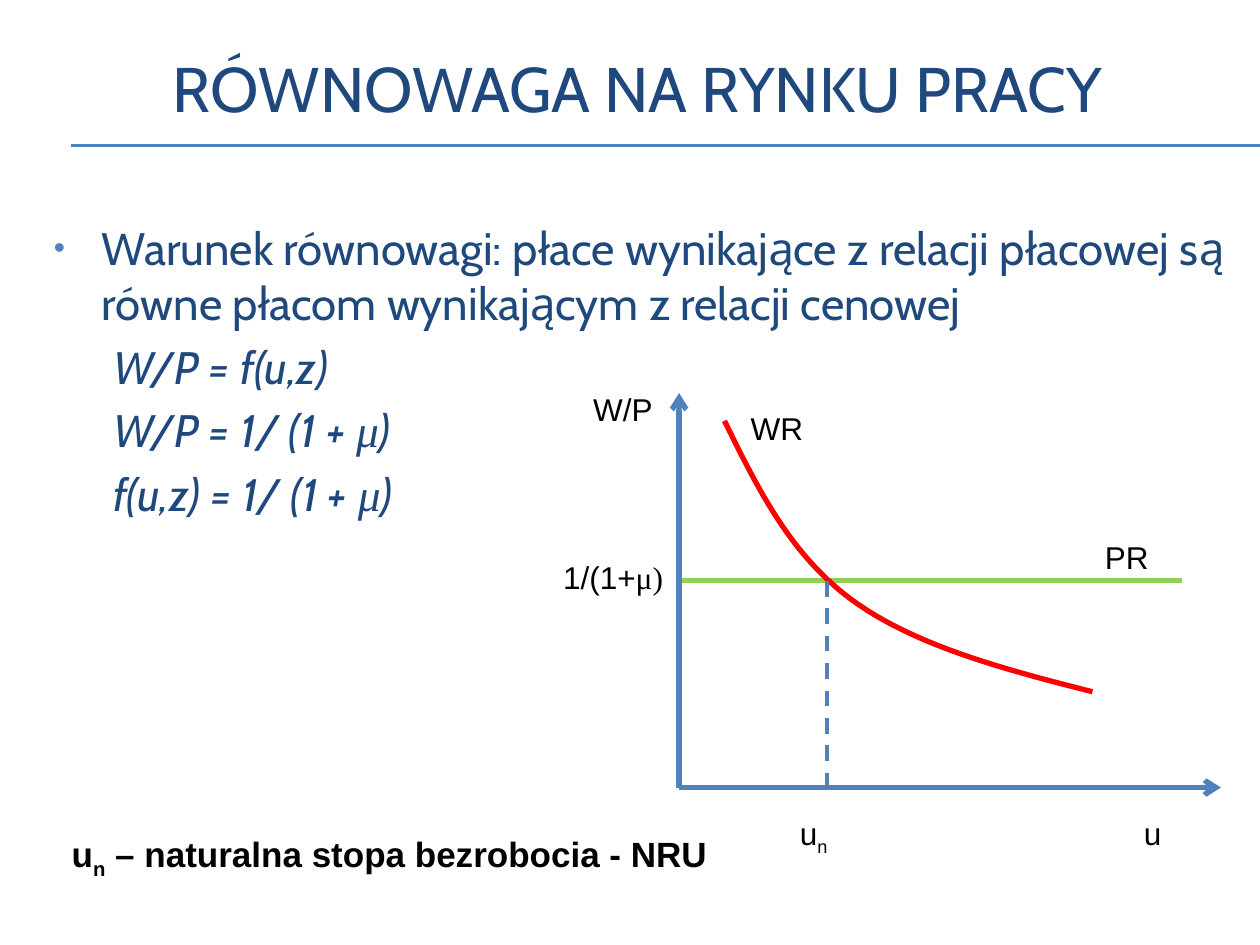
from collections import namedtuple

from lxml.etree import SubElement
from pptx import Presentation
from pptx.dml.color import RGBColor
from pptx.enum.dml import MSO_LINE_DASH_STYLE as Dash
from pptx.enum.text import MSO_ANCHOR as Anchor, MSO_AUTO_SIZE as AutoSize, PP_ALIGN as Align
from pptx.enum.shapes import MSO_CONNECTOR as Connector
from pptx.oxml.ns import qn
from pptx.util import Inches, Pt

COLORS = {"navy": "1F497D", "blue": "4F81BD", "green": "92D050", "red": "FF0000", "black": "000000"}
GREEK_FONT = "Times New Roman"
Box = namedtuple("Box", "left top width height")


def color(name):
    """Return the palette colour with the given name."""
    return RGBColor.from_string(COLORS[name])


def add_runs(paragraph, runs, font="Arial", size=18, fill="black", bold=False, italic=False):
    """Add (text, options) runs; options are a font name and a baseline shift."""
    for text, options in runs:
        run = paragraph.add_run()
        run.text = text
        run.font.name = options.get("font", font)
        run.font.size = Pt(size)
        run.font.bold = bold
        run.font.italic = italic
        run.font.color.rgb = color(fill)
        if "baseline" in options:
            run._r.get_or_add_rPr().set("baseline", str(options["baseline"]))


def add_text(shapes, box, runs, align=Align.LEFT, anchor=Anchor.TOP, wrap=True, grow=True, **style):
    """Add a text box with one paragraph and return its text frame."""
    frame = shapes.add_textbox(*map(Inches, box)).text_frame
    frame.word_wrap = wrap
    frame.auto_size = AutoSize.SHAPE_TO_FIT_TEXT if grow else AutoSize.NONE
    frame.vertical_anchor = anchor
    paragraph = frame.paragraphs[0]
    paragraph.alignment = align
    add_runs(paragraph, runs, **style)
    return frame


def add_line(shapes, start, end, stroke, width, arrow=False, dash=None):
    """Add a straight line, with an optional arrowhead or dash."""
    line = shapes.add_connector(Connector.STRAIGHT, *map(Inches, (*start, *end)))
    line.line.color.rgb = color(stroke)
    line.line.width = Pt(width)
    if dash:
        line.line.dash_style = dash
    properties = line._element.spPr
    if arrow:
        SubElement(properties.find(qn("a:ln")), qn("a:tailEnd"), type="arrow")
    SubElement(properties, qn("a:effectLst"))


def format_indent(paragraph, left, hanging=0.0, bullet=None):
    """Set the indent of a body paragraph and its bullet."""
    paragraph.space_before = Pt(5.2)
    properties = paragraph._p.get_or_add_pPr()
    properties.set("marL", str(Inches(left)))
    properties.set("indent", str(Inches(-hanging)))
    if bullet:
        bullet_color = SubElement(properties, qn("a:buClr"))
        SubElement(bullet_color, qn("a:srgbClr"), val=COLORS["blue"])
        SubElement(properties, qn("a:buSzPct"), val="70000")
        SubElement(properties, qn("a:buFont"), typeface="Arial")
        SubElement(properties, qn("a:buChar"), char=bullet)


def add_title(slide, box):
    """Place the slide title and the double rule under it."""
    for offset in (0, 0.01):
        y = box.top + box.height + offset
        add_line(slide.shapes, (box.left + 0.25, y), (10, y), "blue", 0.75)
    add_text(slide.shapes, box, [("RÓWNOWAGA NA RYNKU PRACY", {})], align=Align.CENTER,
             anchor=Anchor.MIDDLE, grow=False, font="Cabin", size=36, fill="navy")


def add_body(slide, box):
    """Place the equilibrium condition and its equations."""
    style = {"font": "Cabin", "size": 26, "fill": "navy"}
    condition = ("Warunek równowagi: płace wynikające z relacji płacowej są "
                 "równe płacom wynikającym z relacji cenowej")
    frame = add_text(slide.shapes, box, [(condition, {})], grow=False, **style)
    format_indent(frame.paragraphs[0], 0.38, 0.38, "•")
    markup = [("μ", {"font": GREEK_FONT}), (")", {})]
    equations = [
        [("W/P = f(u,z)", {})],
        [("W/P = 1/ (1 + ", {}), *markup],
        [("f(u,z) = 1/ (1 + ", {}), *markup],
    ]
    for runs in equations:
        paragraph = frame.add_paragraph()
        format_indent(paragraph, 0.47)
        add_runs(paragraph, runs, italic=True, **style)


def bezier(points, steps=24):
    """Return points along a cubic curve, without its start."""
    weights = [((1 - t) ** 3, 3 * t * (1 - t) ** 2, 3 * t * t * (1 - t), t ** 3)
               for t in (step / steps for step in range(1, steps + 1))]
    return [tuple(sum(w * point[axis] for w, point in zip(weight, points)) for axis in (0, 1))
            for weight in weights]


def add_curve(shapes, start, segments):
    """Add the wage relation as an open smooth outline."""
    points = [start]
    for segment in segments:
        points += bezier([points[-1], *segment])
    vertices = [(Inches(x), Inches(y)) for x, y in points]
    builder = shapes.build_freeform(*vertices[0], scale=1.0)
    builder.add_line_segments(vertices[1:], close=False)
    curve = builder.convert_to_shape()
    curve.shadow.inherit = False
    curve.fill.background()
    curve.line.color.rgb = color("red")
    curve.line.width = Pt(3)


def add_graph(slide, box):
    """Draw the labour market graph, with its axes on the box edges."""
    shapes = slide.shapes.add_group_shape().shapes
    bottom = box.top + box.height

    def at(x, y):
        """Return a slide point from an offset inside the box."""
        return box.left + x, box.top + y

    wage, natural = 1.49, 1.17
    origin = at(0, box.height)
    add_line(shapes, at(0, wage), at(3.99, wage), "green", 3)
    add_line(shapes, origin, at(0, 0), "blue", 3, arrow=True)
    add_line(shapes, origin, (box.left + box.width, bottom), "blue", 3, arrow=True)
    add_curve(shapes, at(0.36, 0.22), [
        (at(0.62, 0.75), at(0.88, 1.28), at(1.37, 1.64)),
        (at(1.86, 2.0), at(2.57, 2.19), at(3.28, 2.37)),
    ])
    add_line(shapes, at(natural, wage), at(natural, box.height), "blue", 2.25, dash=Dash.DASH)
    labels = [
        (-0.78, -0.07, 0.78, [("W/P", {})], True),
        (3.59, 3.29, 0.7, [("u", {})], True),
        (-1.02, 1.26, 1.09, [("1/(1+", {}), ("μ)", {"font": GREEK_FONT})], True),
        (0.47, 0.08, 0.86, [("WR", {})], True),
        (0.86, 3.29, 0.63, [("u", {}), ("n", {"baseline": -25000})], True),
        (3.28, 1.1, 0.55, [("PR", {})], False),
    ]
    for x, y, width, runs, wrap in labels:
        add_text(shapes, (*at(x, y), width, 0.4), runs, wrap=wrap)


def add_note(slide, box):
    """Place the explanation of the natural rate."""
    runs = [("u", {}), ("n", {"baseline": -25000}), (" – naturalna stopa bezrobocia - NRU", {})]
    add_text(slide.shapes, box, runs, size=20, bold=True)


def main():
    """Build the slide and save it."""
    presentation = Presentation()
    presentation.slide_width, presentation.slide_height = Inches(10), Inches(7.5)
    slide = presentation.slides.add_slide(presentation.slide_layouts[6])
    add_title(slide, Box(0.31, 0.23, 9.5, 0.92))
    add_body(slide, Box(0.33, 1.7, 9.5, 4.95))
    add_note(slide, Box(0.47, 6.56, 5.31, 0.44))
    add_graph(slide, Box(5.39, 3.12, 4.3, 3.13))
    presentation.save("out.pptx")


if __name__ == "__main__":
    main()
